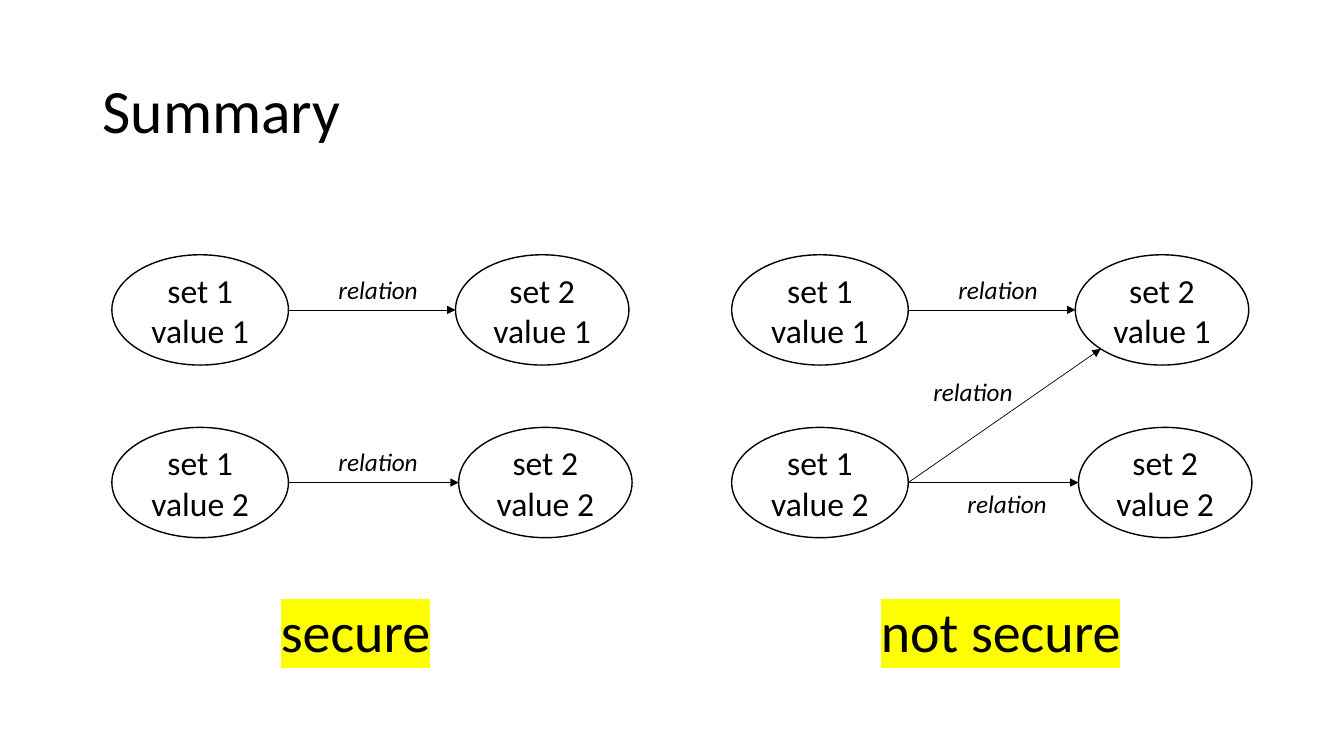
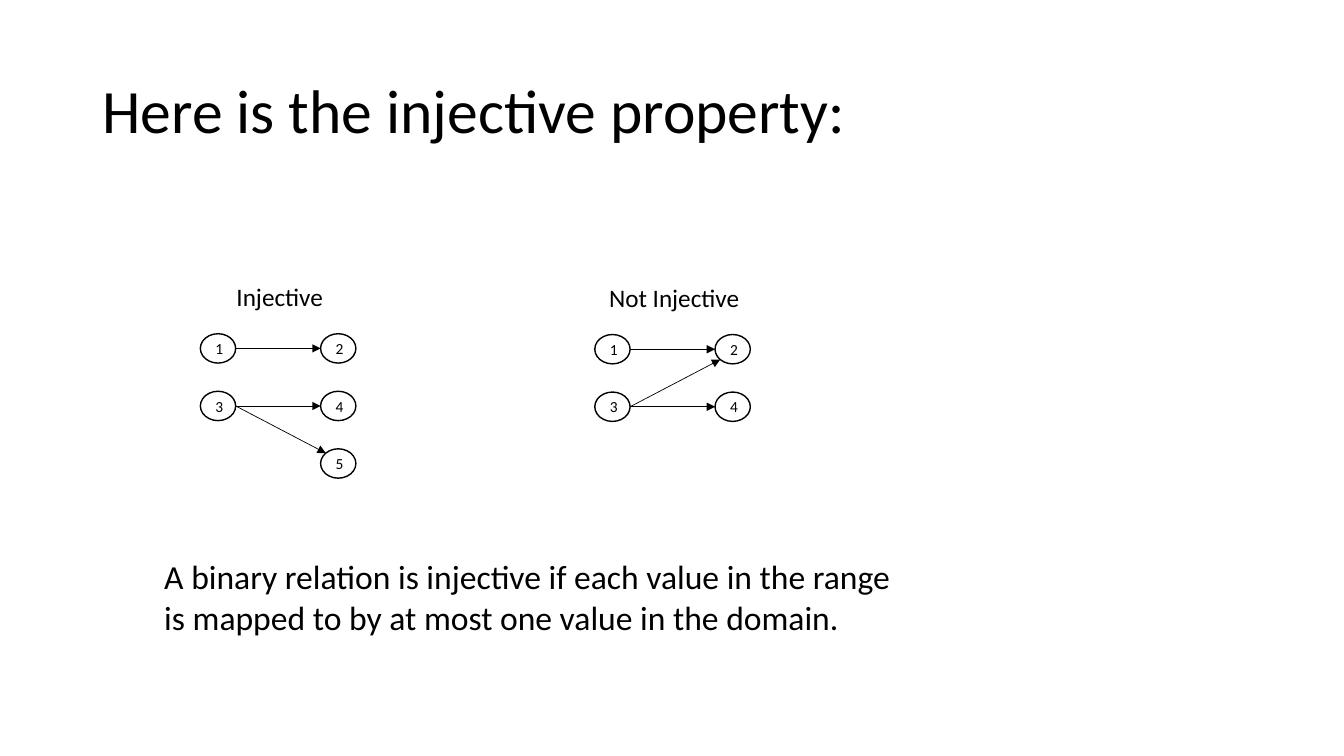
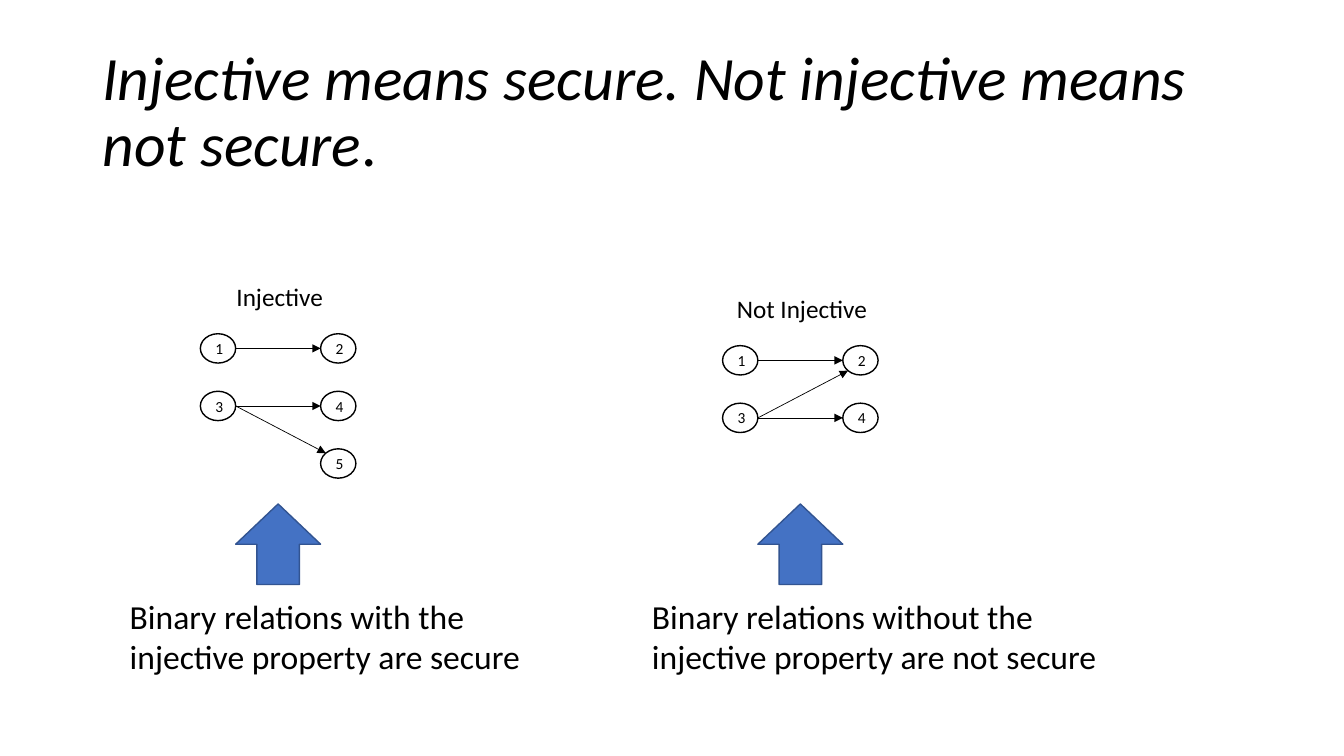
from lxml import etree
from pptx import Presentation
from pptx.dml.color import RGBColor
from pptx.enum.shapes import MSO_CONNECTOR as Connector, MSO_SHAPE as Shape
from pptx.enum.text import MSO_ANCHOR as Anchor, MSO_AUTO_SIZE as AutoSize, PP_ALIGN as Align
from pptx.oxml.ns import qn
from pptx.util import Cm, Pt

COLOURS = {
    "ink": "000000",
    "paper": "FFFFFF",
    "marker": "FFFF00",
    "arrow": "4472C4",
    "arrow_edge": "325491",
}
FONT = "Calibri"
TITLE_BOX = (2.33, 1.02, 29.21, 3.68)

# Relation panels: bubble sizes and spacing in cm
BUBBLE_TOP, BUBBLE_HEIGHT, BUBBLE_STEP = 6.42, 2.78, 4.35
LEFT_WIDTH, RIGHT_WIDTH = 4.45, 4.37

# Small mapping diagrams: node sizes and spacing in cm
NODE_WIDTH, NODE_HEIGHT = 0.89, 0.74
COLUMN_STEP, ROW_STEP = 3.03, 1.45

LINKS_INJECTIVE = ["12", "34", "35"]
LINKS_NOT_INJECTIVE = ["12", "34", "32"]


def colour(name):
    return RGBColor.from_string(COLOURS[name])


def place(box):
    return [Cm(value) for value in box]


# Text
def write(shape, lines, size=24, align=Align.LEFT, italic=False, highlight=None, spacing=None):
    """Fill a shape; a line is a string or a list of (text, italic) spans."""
    frame = shape.text_frame
    for index, line in enumerate(lines):
        para = frame.paragraphs[0] if index == 0 else frame.add_paragraph()
        para.alignment = align
        para.line_spacing = spacing
        for text, slanted in [(line, italic)] if isinstance(line, str) else line:
            span = para.add_run()
            span.text = text
            span.font.name, span.font.size = FONT, Pt(size)
            span.font.italic = slanted
            span.font.color.rgb = colour("ink")
            if highlight:
                mark = etree.Element(qn("a:highlight"))
                etree.SubElement(mark, qn("a:srgbClr"), val=COLOURS[highlight])
                span.font.fill._xPr.find(qn("a:solidFill")).addnext(mark)


def add_text(shapes, box, lines, wrap=False, **style):
    text_box = shapes.add_textbox(*place(box))
    text_box.text_frame.word_wrap = wrap
    text_box.text_frame.auto_size = AutoSize.SHAPE_TO_FIT_TEXT
    write(text_box, lines, **style)


def add_slide(deck, title_line):
    page = deck.slides.add_slide(deck.slide_layouts[5])
    title = page.shapes.title
    title.left, title.top, title.width, title.height = place(TITLE_BOX)
    title.text_frame.vertical_anchor = Anchor.MIDDLE
    title.text_frame.auto_size = AutoSize.NONE
    write(title, [title_line], size=44, spacing=0.9)
    return page.shapes


# Shapes and arrows
def add_figure(shapes, kind, box, fill, edge):
    figure = shapes.add_shape(kind, *place(box))
    figure.shadow.inherit = False
    figure.fill.solid()
    figure.fill.fore_color.rgb = colour(fill)
    figure.line.color.rgb = colour(edge)
    figure.line.width = Pt(1)
    return figure


def add_oval(shapes, box, lines, size):
    oval = add_figure(shapes, Shape.OVAL, box, "paper", "ink")
    oval.text_frame.vertical_anchor = Anchor.MIDDLE
    write(oval, lines, size=size, align=Align.CENTER)
    return oval


def link(shapes, source, target):
    """Arrow from the right of source to the nearest left-hand rim of target."""
    diagonal = 0.5 ** 0.5
    rise = (source.top > target.top) - (source.top < target.top)
    across, down = (diagonal, rise * diagonal) if rise else (1, 0)
    line = shapes.add_connector(
        Connector.STRAIGHT,
        source.left + source.width,
        source.top + source.height // 2,
        int(target.left + target.width * (1 - across) / 2),
        int(target.top + target.height * (1 + down) / 2),
    )
    line.line.color.rgb = colour("ink")
    line.line.width = Pt(0.5)
    etree.SubElement(line.line._get_or_add_ln(), qn("a:tailEnd"), type="triangle")
    etree.SubElement(line._element.spPr, qn("a:effectLst"))


# Diagrams
def add_relation_panel(shapes, left, links, labels, verdict, verdict_box):
    """Two sets of two values; links are (from row, to row) pairs."""
    columns = [(1, [0, 0], LEFT_WIDTH), (2, [8.66, 8.74], RIGHT_WIDTH)]
    ovals = {}
    for number, offsets, width in columns:
        for row, offset in enumerate(offsets):
            box = (left + offset, BUBBLE_TOP + row * BUBBLE_STEP, width, BUBBLE_HEIGHT)
            lines = [f"set {number}", f"value {row + 1}"]
            ovals[number, row] = add_oval(shapes, box, lines, 24)
    for start, end in links:
        link(shapes, ovals[1, start], ovals[2, end])
    for across, top in labels:
        add_text(shapes, (left + across, top, 2.54, 1.02), ["relation"], size=18, italic=True)
    add_text(shapes, verdict_box, [verdict], size=40, highlight="marker")


def add_mapping(shapes, left, top, links, label, label_width):
    """Grouped diagram: odd numbers on the left, the others on the right."""
    group = shapes.add_group_shape().shapes
    nodes = {}
    for name in sorted(set("".join(links))):
        column, row = {"1": (0, 0), "3": (0, 1), "2": (1, 0), "4": (1, 1), "5": (1, 2)}[name]
        box = (left + column * COLUMN_STEP, top + row * ROW_STEP, NODE_WIDTH, NODE_HEIGHT)
        nodes[name] = add_oval(group, box, [name], 11)
    for start, end in links:
        link(group, nodes[start], nodes[end])
    label_left = left + (COLUMN_STEP + NODE_WIDTH - label_width) / 2 + 0.04
    add_text(group, (label_left, top - ROW_STEP, label_width, 1.02), [label],
             size=18, align=Align.CENTER)


def add_mapping_pair(shapes, second_left, second_top):
    add_mapping(shapes, 5.05, 8.41, LINKS_INJECTIVE, "Injective", 2.72)
    add_mapping(shapes, second_left, second_top, LINKS_NOT_INJECTIVE, "Not Injective", 3.84)


def add_conclusion(shapes, left, width, text):
    """Up arrow under a mapping that starts at left, with its reading below."""
    add_figure(shapes, Shape.UP_ARROW, (left + NODE_WIDTH, 12.7, 2.14, 2.03),
               "arrow", "arrow_edge")
    add_text(shapes, (left - 2.03, 14.88, width, 2.31), [text], wrap=True)


def main():
    deck = Presentation()
    deck.slide_width, deck.slide_height = Cm(33.87), Cm(19.05)

    # Summary
    shapes = add_slide(deck, "Summary")
    add_relation_panel(shapes, 2.82, [(0, 0), (1, 1)], [(5.46, 6.78), (5.46, 11.13)],
                       "secure", (6.83, 14.91, 4.32, 1.96))
    add_relation_panel(shapes, 18.44, [(0, 0), (1, 1), (1, 0)],
                       [(5.46, 6.78), (5.69, 12.17), (4.83, 9.37)],
                       "not secure", (21.95, 14.91, 6.6, 1.96))

    # Injective property
    shapes = add_slide(deck, "Here is the injective property:")
    add_mapping_pair(shapes, 14.99, 8.43)
    add_text(shapes, (3.89, 13.89, 18.92, 2.31),
             ["A binary relation is injective if each value in the range "
              "is mapped to by at most one value in the domain."], wrap=True)

    # Injective means secure
    shapes = add_slide(
        deck, [("Injective means secure. Not injective means not secure", True), (".", False)])
    add_mapping_pair(shapes, 18.21, 8.71)
    add_conclusion(shapes, 5.05, 10.36, "Binary relations with the injective property are secure")
    add_conclusion(shapes, 18.21, 11.91,
                   "Binary relations without the injective property are not secure")

    deck.save("out.pptx")


if __name__ == "__main__":
    main()
